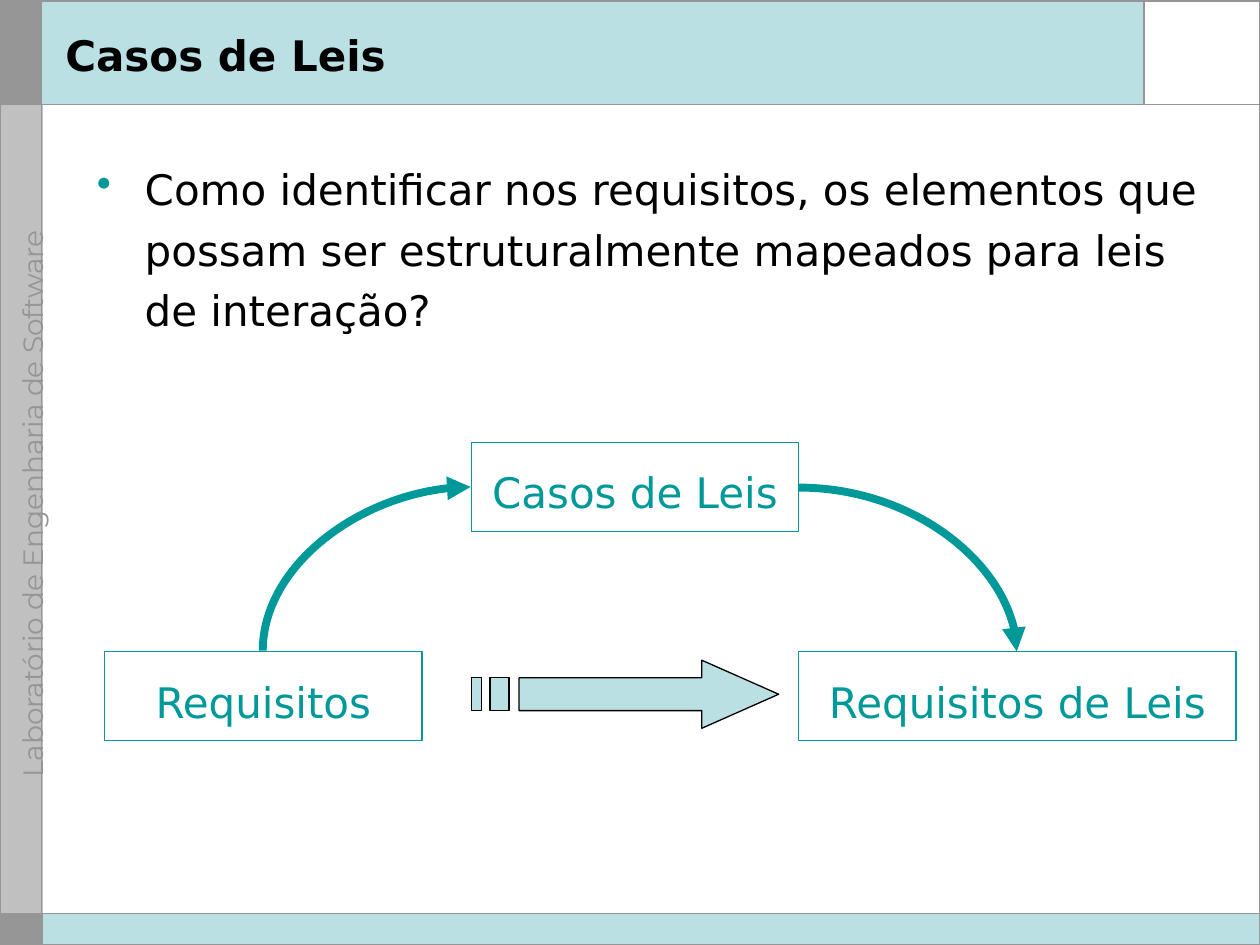
from lxml import etree
from pptx import Presentation
from pptx import util as u
from pptx.dml.color import RGBColor
from pptx.enum import shapes, text
from pptx.oxml import ns

COLORS = {
    "gray": "969696",
    "silver": "C0C0C0",
    "aqua": "BBE0E3",
    "teal": "009999",
    "white": "FFFFFF",
    "black": "000000",
}
BODY_FONT = "DejaVu Sans"
SIDE_FONT = "Montserrat"


def rgb(name):
    return RGBColor.from_string(COLORS[name])


def add_child(parent, tag, **values):
    child = etree.SubElement(parent, ns.qn(tag))
    for key, value in values.items():
        child.set(key, value)
    return child


def apply(target, values):
    for key, value in values.items():
        setattr(target, key, value)


def paint(shape, fill=None, line=None, width=0.75):
    shape.shadow.inherit = False
    if fill:
        shape.fill.solid()
        shape.fill.fore_color.rgb = rgb(fill)
    else:
        shape.fill.background()
    if line:
        shape.line.color.rgb = rgb(line)
        shape.line.width = u.Pt(width)
    else:
        shape.line.fill.background()


def add_block(page, at, **style):
    block = page.shapes.add_shape(shapes.MSO_SHAPE.RECTANGLE, *map(u.Inches, at))
    paint(block, **style)
    return block


def write(box, words, color, size=24, bold=False, font=BODY_FONT,
          frame_format=None, para_format=None, bullet=None):
    frame = box.text_frame
    apply(frame, {"word_wrap": True, **(frame_format or {})})
    para = frame.paragraphs[0]
    apply(para, {"alignment": text.PP_ALIGN.LEFT, **(para_format or {})})
    if bullet:
        props = para._p.get_or_add_pPr()
        props.set("marL", str(u.Inches(0.38)))
        props.set("indent", str(u.Inches(-0.38)))
        add_child(add_child(props, "a:buClr"), "a:srgbClr", val=COLORS[bullet])
        add_child(props, "a:buChar", char="•")
    span = para.add_run()
    span.text = words
    apply(span.font, {"name": font, "size": u.Pt(size), "bold": bold})
    span.font.color.rgb = rgb(color)


def add_text(page, at, words, color, **style):
    box = page.shapes.add_textbox(*map(u.Inches, at))
    write(box, words, color, **style)
    return box


def add_line(page, start, end, color="gray", width=1,
             kind=shapes.MSO_CONNECTOR.STRAIGHT):
    line = page.shapes.add_connector(kind, *map(u.Inches, (*start, *end)))
    line.line.color.rgb = rgb(color)
    line.line.width = u.Pt(width)
    add_child(line._element.spPr, "a:effectLst")
    return line


def add_curved_arrow(page, start, end, turn=0):
    arrow = add_line(page, start, end, "teal", 4.5, shapes.MSO_CONNECTOR.CURVE)
    props = arrow._element.spPr
    props.find(ns.qn("a:prstGeom")).set("prst", "curvedConnector2")
    props.find(ns.qn("a:xfrm")).set("rot", str(turn * 60000))
    add_child(props.find(ns.qn("a:ln")), "a:tailEnd", type="triangle")


def add_step(page, at, words):
    step = add_block(page, at, line="teal")
    write(step, words, "teal",
          frame_format={"word_wrap": False,
                        "vertical_anchor": text.MSO_ANCHOR.MIDDLE},
          para_format={"alignment": text.PP_ALIGN.CENTER, "line_spacing": 1.2})


def add_striped_arrow(page):
    top, bottom = 5.38, 5.64
    head = [(4.12, top), (5.57, top), (5.57, 5.24), (6.18, 5.51),
            (5.57, 5.78), (5.57, bottom), (4.12, bottom)]
    stripes = [[(left, top), (right, top), (right, bottom), (left, bottom)]
               for left, right in ((3.74, 3.82), (3.89, 4.04))]
    first, *others = [[(u.Inches(x), u.Inches(y)) for x, y in outline]
                      for outline in (head, *stripes)]
    builder = page.shapes.build_freeform(*first[0])
    builder.add_line_segments(first[1:], close=True)
    for outline in others:
        builder.move_to(*outline[0])
        builder.add_line_segments(outline[1:], close=True)
    paint(builder.convert_to_shape(), "aqua", "black")


def add_frame(page):
    add_block(page, (0.01, 0.01, 0.33, 0.83), fill="gray", line="gray")
    add_block(page, (0.33, 0, 9.67, 0.83), fill="aqua")
    add_block(page, (0.01, 0.83, 0.33, 6.42), fill="silver", line="silver")
    add_block(page, (9.08, 0, 0.92, 0.83), fill="white")
    add_block(page, (0.33, 7.25, 9.67, 0.25), fill="aqua")
    label = add_text(page, (-2.24, 3.78, 4.8, 0.18),
                     "Laboratório de Engenharia de Software", "gray",
                     size=16, font=SIDE_FONT)
    label.rotation = 270
    add_line(page, (9.08, 0), (9.08, 0.83))
    add_line(page, (0, 0.83), (10, 0.83))
    add_block(page, (0.01, 7.25, 0.33, 0.24), fill="gray", line="gray")
    add_line(page, (0.33, 0), (0.33, 7.5))
    add_block(page, (0, 0.01, 10, 7.49), line="gray", width=1)
    add_line(page, (0, 7.25), (10, 7.25))


def main():
    deck = Presentation()
    apply(deck, {"slide_width": u.Inches(10), "slide_height": u.Inches(7.5)})
    page = deck.slides.add_slide(deck.slide_layouts[6])
    add_frame(page)
    add_text(page, (0.42, 0.12, 8.58, 0.62), "Casos de Leis", "black", bold=True,
             frame_format={"vertical_anchor": text.MSO_ANCHOR.MIDDLE})
    add_text(page, (0.67, 1.17, 9.08, 5.84),
             "Como identificar nos requisitos, os elementos que possam ser "
             "estruturalmente mapeados para leis de interação?",
             "black", para_format={"line_spacing": 1.2}, bullet="teal")
    add_step(page, (0.83, 5.17, 2.52, 0.71), "Requisitos")
    add_step(page, (6.34, 5.17, 3.47, 0.71), "Requisitos de Leis")
    add_striped_arrow(page)
    add_step(page, (3.74, 3.51, 2.6, 0.71), "Casos de Leis")
    add_curved_arrow(page, (3.56, 5.34), (2.26, 3.69), turn=90)
    add_curved_arrow(page, (6.34, 3.87), (8.07, 5.17))
    deck.save("out.pptx")


if __name__ == "__main__":
    main()
